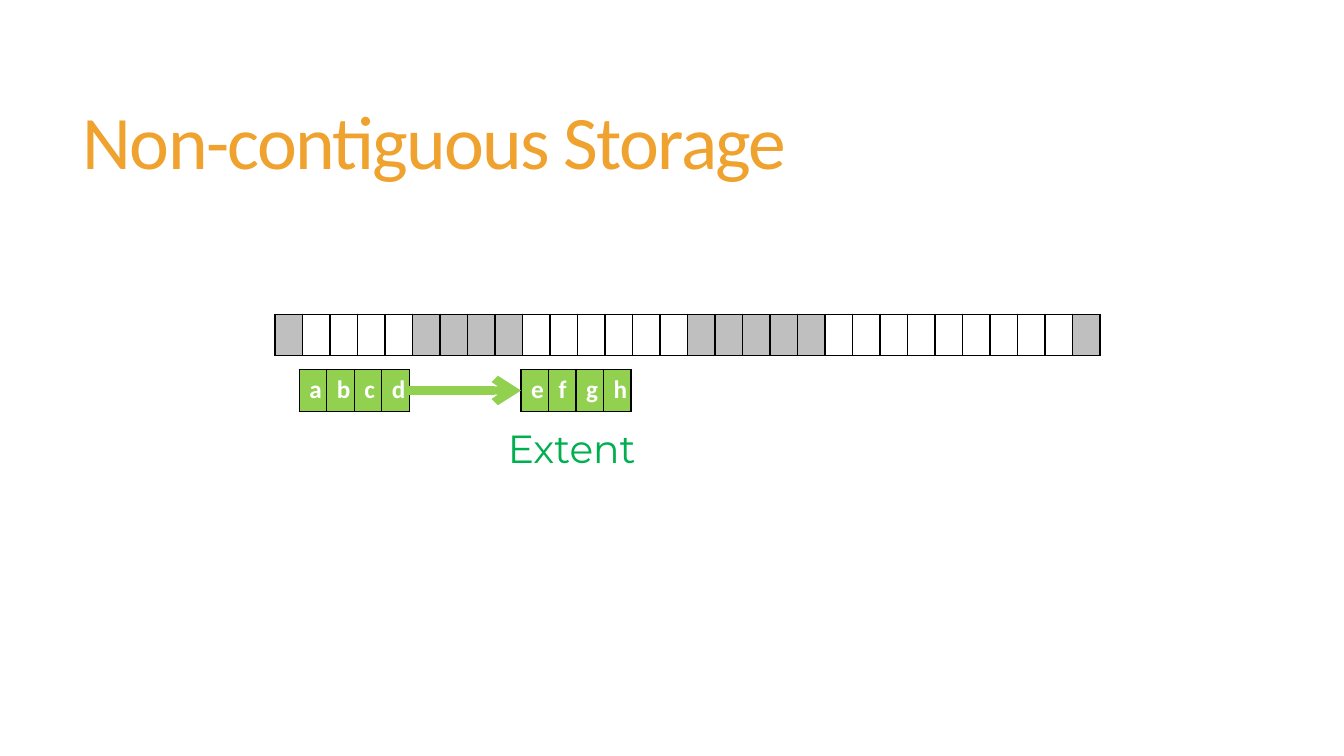
from dataclasses import dataclass

from lxml.etree import SubElement
from pptx import Presentation
from pptx.dml.color import RGBColor as Rgb
from pptx.enum.shapes import MSO_CONNECTOR as Connector
from pptx.enum.text import MSO_ANCHOR as Anchor, MSO_AUTO_SIZE as AutoSize, PP_ALIGN as Align
from pptx.oxml.ns import qn
from pptx.util import Cm, Pt


@dataclass(frozen=True)
class Theme:
    orange: str = "F0A22E"
    used: str = "BFBFBF"
    file: str = "92D050"
    label: str = "00B050"
    border: str = "000000"
    white: str = "FFFFFF"
    body_font: str = "Calibri"
    label_font: str = "Montserrat"
    title_size: int = 54
    label_size: int = 28
    block_size: int = 18


theme = Theme()
BLOCK_WIDTH = 20.8 / 30
BLOCK_HEIGHT = 1.04


def add_run(paragraph, text, font, size, color, bold=False):
    run = paragraph.add_run()
    run.text = text
    run.font.name = font
    run.font.size = Pt(size)
    run.font.bold = bold
    run.font.color.rgb = Rgb.from_string(color)
    return run


def add_blocks(left, top, letters, fills):
    """Draw one row of bordered disk blocks; a fill of None stays open."""
    count = len(fills)
    blocks = slide.shapes.add_table(
        1, count, Cm(left), Cm(top), Cm(count * BLOCK_WIDTH), Cm(BLOCK_HEIGHT)).table
    blocks.first_row = blocks.horz_banding = False
    for column, letter, fill in zip(blocks.columns, letters, fills):
        column.width = Cm(BLOCK_WIDTH)
    for cell, letter, fill in zip(blocks.iter_cells(), letters, fills):
        paragraph = cell.text_frame.paragraphs[0]
        paragraph.alignment = Align.CENTER
        if letter:
            add_run(paragraph, letter, theme.body_font, theme.block_size, theme.white, True)
        properties = cell._tc.get_or_add_tcPr()
        for side in ("a:lnL", "a:lnR", "a:lnT", "a:lnB"):
            edge = SubElement(properties, qn(side), w=str(Pt(1)))
            SubElement(SubElement(edge, qn("a:solidFill")), qn("a:srgbClr"), val=theme.border)
        if fill:
            cell.fill.solid()
            cell.fill.fore_color.rgb = Rgb.from_string(fill)
        else:
            cell.fill.background()


deck = Presentation()
deck.slide_width, deck.slide_height = Cm(33.87), Cm(19.05)
slide = deck.slides.add_slide(deck.slide_layouts[5])

# Title
title = slide.shapes.title
title.left, title.top, title.width, title.height = Cm(1.83), Cm(1.4), Cm(29.92), Cm(4.6)
title.text_frame.vertical_anchor = Anchor.MIDDLE
title.text_frame.auto_size = AutoSize.NONE
heading = title.text_frame.paragraphs[0]
heading.alignment = Align.LEFT
heading.line_spacing = 0.85
heading_run = add_run(heading, "Non-contiguous Storage", theme.body_font,
                      theme.title_size, theme.orange)
heading_run.font._element.set("spc", "-120")

# Disk: runs of used and free blocks
disk = []
for length, fill in ((1, theme.used), (4, None), (4, theme.used), (6, None),
                     (5, theme.used), (9, None), (1, theme.used)):
    disk += [fill] * length
add_blocks(6.93, 7.92, [""] * len(disk), disk)

# File split into two extents
for left, letters in ((7.54, "abcd"), (13.13, "efgh")):
    add_blocks(left, 9.32, letters, [theme.file] * len(letters))

# Link from the first extent to the second
link = slide.shapes.add_connector(Connector.STRAIGHT, Cm(10.31), Cm(9.84), Cm(13.13), Cm(9.84))
link.line.color.rgb = Rgb.from_string(theme.file)
link.line.width = Pt(6)
SubElement(link.line._get_or_add_ln(), qn("a:tailEnd"), type="arrow")
SubElement(link._element.spPr, qn("a:effectLst"))

# Extent label
extent = slide.shapes.add_textbox(Cm(12.55), Cm(10.57), Cm(4.8), Cm(1.45)).text_frame
extent.word_wrap = True
extent.auto_size = AutoSize.SHAPE_TO_FIT_TEXT
add_run(extent.paragraphs[0], "Extent", theme.label_font, theme.label_size, theme.label)

deck.save("out.pptx")
